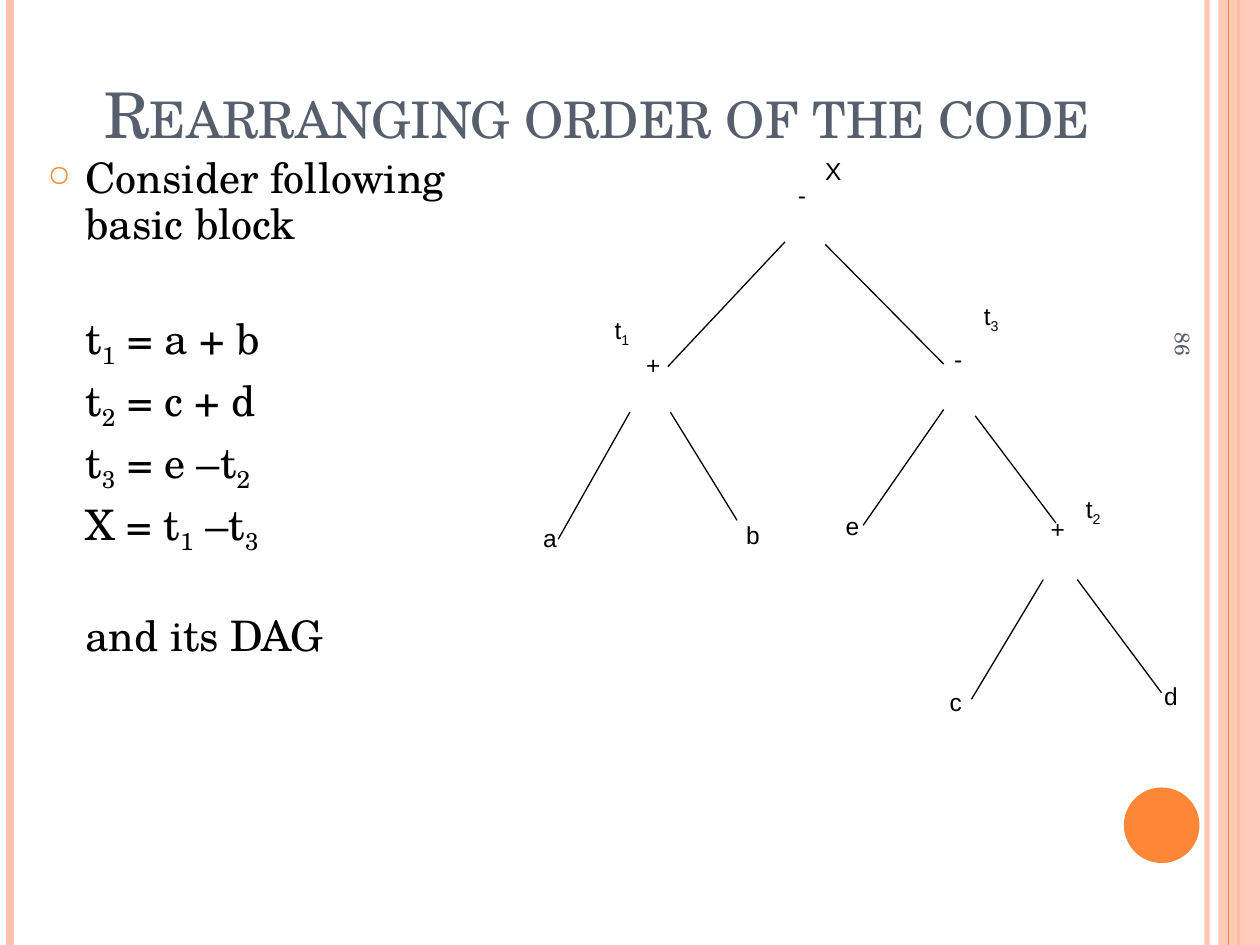
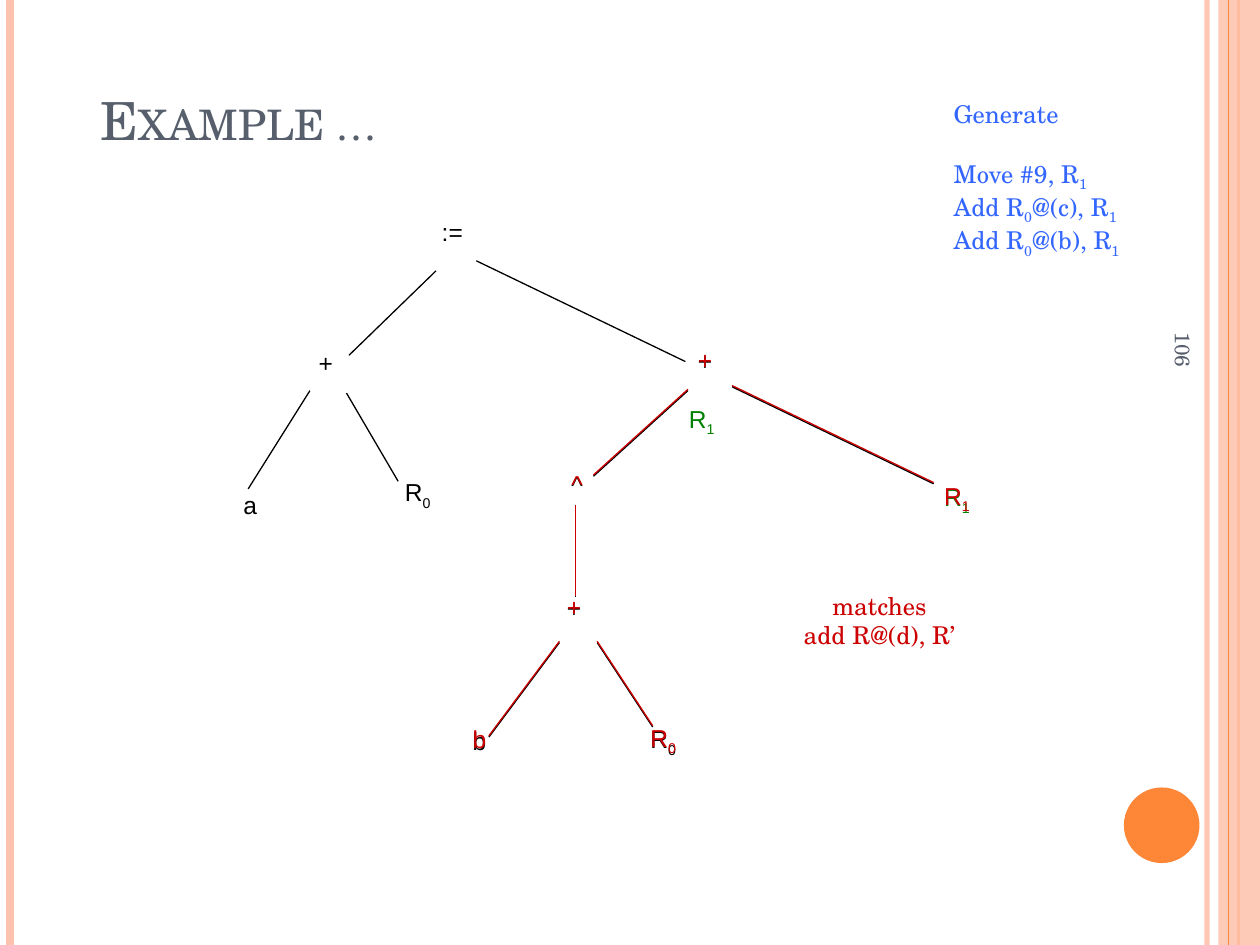
from collections import namedtuple

from lxml import etree
from pptx import Presentation
from pptx import util as u
from pptx.dml.color import RGBColor
from pptx.enum import shapes, text
from pptx.oxml.ns import qn

COLORS = {"ink": "000000", "slate": "575F6D", "orange": "FE8637", "peach": "FEC3AE",
          "blue": "3366FF", "red": "CC0000", "green": "008000"}
SERIF, SANS = "TeX Gyre Schola", "Arial"
COLS, ROWS = 100, 75
CELL = u.Inches(10) // COLS
LEFT, CENTER = text.PP_ALIGN.LEFT, text.PP_ALIGN.CENTER
TOP, MIDDLE, BOTTOM = text.MSO_ANCHOR.TOP, text.MSO_ANCHOR.MIDDLE, text.MSO_ANCHOR.BOTTOM
NODE_HEIGHT = 5
NODE_WIDTHS = {"-": 3.1, "+": 3.9, "b": 3.7, "d": 3.7, "^": 3.6, ":": 4.8,
               "R": 5.3, "X": 4.4, "t": 4}
Box = namedtuple("Box", "left top width height")

ORDER_NODES = [("-", 22.1, 3.8), ("+", 9.9, 17.3), ("a", 1.9, 31), ("b", 17.9, 30.8),
               ("-", 34.5, 16.8), ("e", 25.9, 30.1), ("+", 42, 30.3), ("c", 34.1, 44)]
ORDER_EDGES = [(22.3, 9.2, 13, 19.1), (10, 22.7, 4.3, 32.8), (13.2, 22.7, 18.5, 31.3),
               (25.5, 9.4, 34.9, 18.9), (34.9, 22.5, 28.5, 31.7), (37.4, 23, 43.8, 31.5),
               (42.8, 36, 37.1, 45.5), (45.5, 36, 52.2, 45)]
ORDER_LABELS = [("d", 51.4, 43.6), ("X", 24.5, 1.9), ("t_3", 37.1, 13.4),
                ("t_2", 45.2, 28.7), ("t_1", 7.8, 14.5)]
ASSIGN_NODES = [(":=", 15.5, 0.7), ("+", 5.9, 11.1), ("R_0", 12.5, 21.4), ("a", 0.1, 22.4)]
ASSIGN_EDGES = [(16.6, 5.5, 9.7, 12.2), (6.6, 15, 1.7, 22.8), (9.5, 15.2, 13.6, 22.2),
                (19.8, 4.7, 36.4, 12.7)]
MATCH_NODES = [("+", 18, 1), ("+", 7.6, 20.6), ("b", 0.2, 31.1), ("R_0", 14, 31),
               ("^", 8, 10.8)]
MATCH_EDGES = [(18.6, 5, 11.1, 11.8), (9.7, 14.2, 9.7, 21.4), (8.4, 25, 2.8, 32.5),
               (11.4, 25, 15.8, 31.7), (22.1, 4.7, 38.1, 12.4)]
MATCH_LEAF = [("R_1", 37.3, 11.8)]


def rgb(name):
    """Return the named colour."""
    return RGBColor.from_string(COLORS[name])


def cells(*values):
    """Turn grid cells into lengths."""
    return [u.Emu(round(v * CELL)) for v in values]


def set_alpha(sp, percent):
    """Make the colour of a shape or line partly transparent."""
    clr = sp._element.spPr.find(f".//{qn('a:srgbClr')}")
    etree.SubElement(clr, qn("a:alpha"), val=str(percent * 1000))


def add_bullet(p):
    """Give a paragraph a small orange ring as its bullet."""
    pPr = p._p.get_or_add_pPr()
    clr = etree.SubElement(pPr, qn("a:buClr"))
    etree.SubElement(clr, qn("a:srgbClr"), val=COLORS["orange"])
    etree.SubElement(pPr, qn("a:buSzPct"), val="70000")
    etree.SubElement(pPr, qn("a:buChar"), char="○")


def add_run(p, content, size, font, color, caps, sub=False):
    """Add one formatted run."""
    r = p.add_run()
    r.text = content
    r.font.size, r.font.name = u.Pt(size), font
    r.font.color.rgb = rgb(color)
    rPr = r._r.get_or_add_rPr()
    if caps:
        rPr.set("cap", "small")
    if sub:
        rPr.set("baseline", "-25000")


def write(slide, box, *lines, size=14, font=SERIF, color="ink", align=LEFT, anchor=TOP,
          caps=False, rotation=0, gaps=(), spacing=None, indent=0, bullet=False):
    """Write lines in a box; an underscore lowers the character after it."""
    sp = slide.shapes.add_textbox(*cells(*box))
    sp.rotation = rotation
    tf = sp.text_frame
    tf.word_wrap, tf.vertical_anchor = True, anchor
    for i, line in enumerate(lines):
        p = tf.paragraphs[0] if i == 0 else tf.add_paragraph()
        p.alignment = align
        if spacing:
            p.line_spacing = spacing
        if i and gaps:
            p.space_before = u.Pt(gaps[i - 1])
        hang = bullet and i == 0
        if indent:
            pPr = p._p.get_or_add_pPr()
            margin, = cells(indent)
            pPr.set("marL", str(margin))
            pPr.set("indent", str(-margin if hang else 0))
        if hang:
            add_bullet(p)
        head, *rest = line.split("_")
        add_run(p, head, size, font, color, caps)
        for part in rest:
            add_run(p, part[0], size, font, color, caps, sub=True)
            if part[1:]:
                add_run(p, part[1:], size, font, color, caps)


def add_line(slide, ends, color="ink", width=0.75):
    """Draw a straight line between two grid points."""
    c = slide.shapes.add_connector(shapes.MSO_CONNECTOR.STRAIGHT, *cells(*ends))
    c.line.color.rgb, c.line.width = rgb(color), u.Pt(width)
    etree.SubElement(c._element.spPr, qn("a:effectLst"))
    return c


def add_solid(slide, kind, box, color):
    """Draw a filled shape without an outline."""
    sp = slide.shapes.add_shape(kind, *cells(*box))
    sp.shadow.inherit = False
    sp.fill.solid()
    sp.fill.fore_color.rgb = rgb(color)
    sp.line.fill.background()
    return sp


def frame(slide, box):
    """Draw the side bands and the disc."""
    right, bottom = box.left + box.width, box.top + box.height

    def rule(x, color, width):
        """Draw a rule over the full height."""
        return add_line(slide, (x, box.top, x, bottom), color, width)

    set_alpha(rule(right - 4.2, "peach", 3), 93)
    rule(box.left + 0.8, "peach", 4.5)
    rule(right - 1.7, "orange", 1.5)
    band = Box(right - 3.3, box.top, 3.3, box.height)
    set_alpha(add_solid(slide, shapes.MSO_SHAPE.RECTANGLE, band, "peach"), 87)
    rule(right - 2.5, "orange", 0.75)
    disc = Box(right - 10.8, bottom - 12.5, 6, 6)
    add_solid(slide, shapes.MSO_SHAPE.OVAL, disc, "orange")


def base_slide(prs, title, number, title_left, title_size):
    """Add a slide with its frame, number and title."""
    slide = prs.slides.add_slide(prs.slide_layouts[6])
    frame(slide, Box(0, 0, COLS, ROWS))
    write(slide, Box(76.4, 40.9, 35, 4), number, size=12, color="slate",
          anchor=MIDDLE, rotation=90)
    write(slide, Box(title_left, 0, 85, 12.5), title, size=title_size, color="slate",
          anchor=BOTTOM, caps=True)
    return slide


def tree(slide, box, nodes, edges=(), color="ink", align=CENTER):
    """Draw tree nodes and edges measured from the corner of a box."""
    for name, x, y in nodes:
        width = NODE_WIDTHS.get(name[0], 3.5)
        write(slide, Box(box.left + x, box.top + y, width, NODE_HEIGHT), name,
              font=SANS, color=color, align=align)
    for x1, y1, x2, y2 in edges:
        add_line(slide, (box.left + x1, box.top + y1, box.left + x2, box.top + y2), color)


def order_slide(prs):
    """Build the slide with a basic block and its DAG."""
    slide = base_slide(prs, "Rearranging order of the code", "86", 7.3, 36)
    write(slide, Box(2.8, 12, 35.2, 58.5), "Consider following basic block",
          "t_1 = a + b", "t_2 = c + d", "t_3 = e –t_2", "X = t_1 –t_3", "and its DAG",
          size=24, gaps=(37, 6, 6, 6, 37), spacing=0.9, indent=3, bullet=True)
    dag = Box(40, 10, 56, 50)
    tree(slide, dag, ORDER_NODES, ORDER_EDGES)
    tree(slide, dag, ORDER_LABELS, align=LEFT)


def example_slide(prs):
    """Build the slide with a matched subtree and the generated code."""
    slide = base_slide(prs, "Example …", "106", 7, 30)
    tree(slide, Box(18, 16, 38, 27), ASSIGN_NODES, ASSIGN_EDGES)
    write(slide, Box(74.7, 7.4, 25.1, 21), "Generate", "Move #9, R_1",
          "Add R_0@(c), R_1", "Add R_0@(b), R_1", color="blue", gaps=(17, 0, 0))
    match = Box(36, 26, 43, 37)
    tree(slide, match, MATCH_NODES, MATCH_EDGES)
    tree(slide, match, MATCH_LEAF, color="green")
    raised = match._replace(top=match.top - 0.1)
    tree(slide, raised, MATCH_NODES + MATCH_LEAF, MATCH_EDGES, color="red")
    write(slide, Box(58.3, 46.4, 23, 9), "matches", "add R@(d), R’",
          color="red", align=CENTER)
    tree(slide, match, [("R_1", 17.7, 5.6)], color="green", align=LEFT)


def main():
    """Build and save the presentation."""
    prs = Presentation()
    prs.slide_width, prs.slide_height = cells(COLS, ROWS)
    order_slide(prs)
    example_slide(prs)
    prs.save("out.pptx")


if __name__ == "__main__":
    main()
